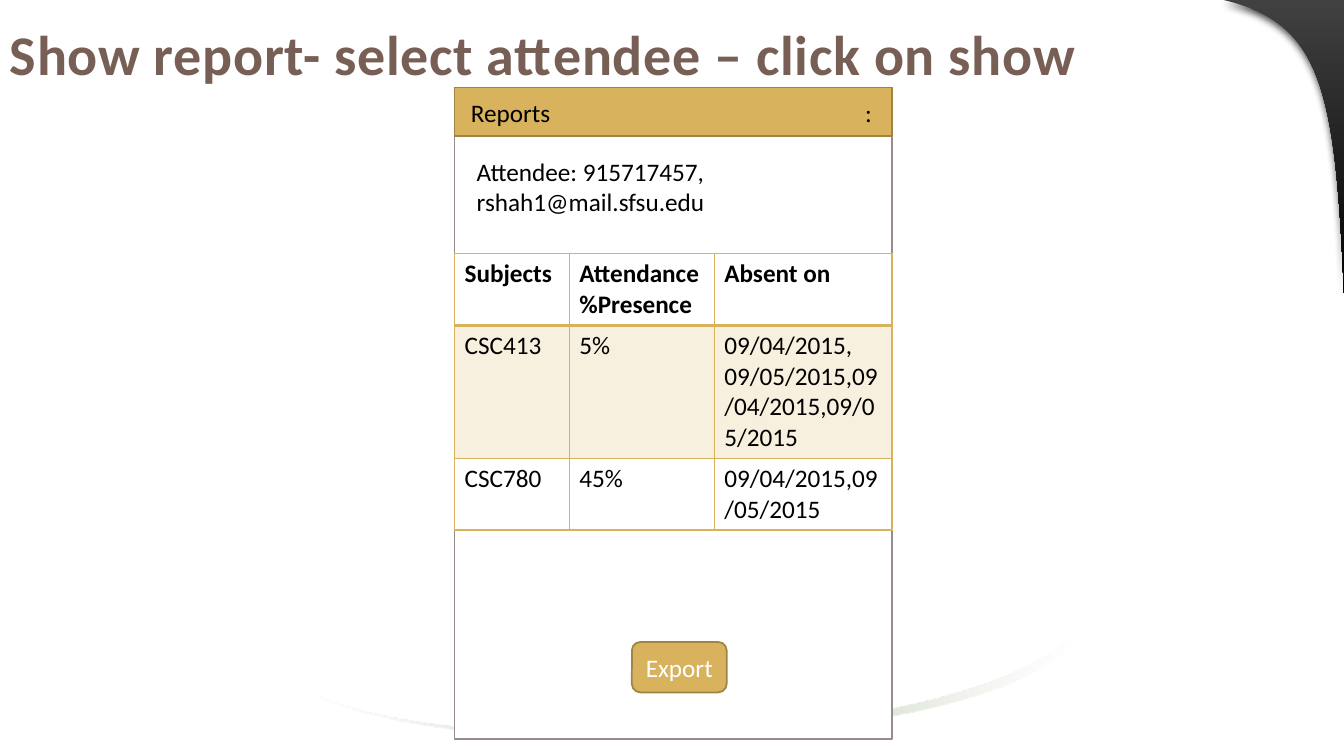
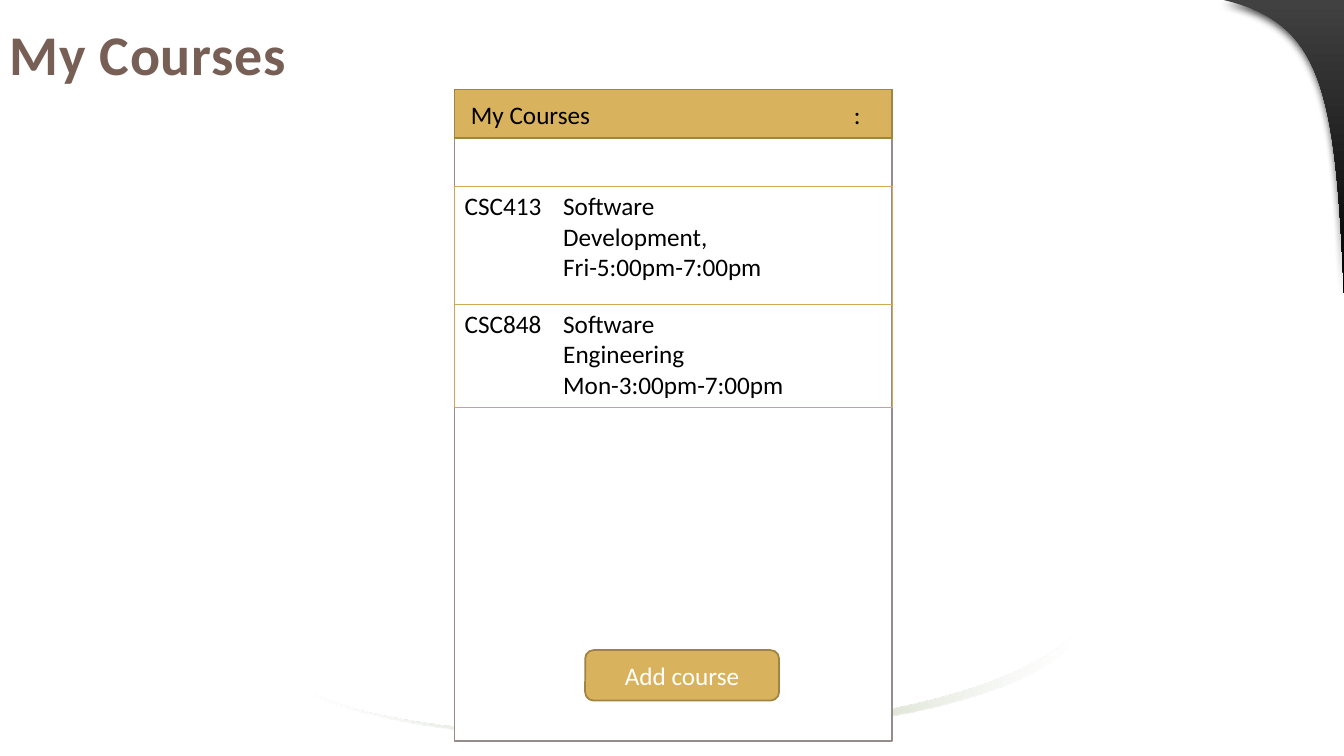
from pptx import Presentation
from pptx.dml.color import RGBColor
from pptx.enum.shapes import MSO_SHAPE as Shape
from pptx.enum.text import MSO_ANCHOR as Anchor, PP_ALIGN as Align
from pptx.oxml import parse_xml
from pptx.oxml.ns import nsdecls, qn
from pptx.util import Pt

FONT = "Calibri"
GOLD, DARK_GOLD, PALE_GOLD, TABLE_GOLD = "D8B25C", "A08444", "F7F0DE", "CEAA58"
BLACK, WHITE, GREY, BROWN, SAGE = "000000", "FFFFFF", "968C8C", "775F55", "9CB084"

PHONE_LEFT, PHONE_WIDTH, PHONE_HEIGHT, HEADER_HEIGHT = 324.7, 312.5, 465.1, 34.8
CURVE_STEPS = 32

# Each curve: start, two control points, end
SWOOSH = [
    [(764.6, 460.8), (702, 532.8), (342, 548.6), (224.6, 496.8)],
    [(224.6, 495.4), (320.4, 541.4), (676.8, 534.2), (764.6, 455.8)],
]
CORNER = [[(960, 209.5), (954, 61.2), (943.2, 16.6), (874.1, 0)]]
CORNER_TIP = (960, 0)

SCREENS = [
    {
        "title": "Show report- select attendee – click on show",
        "header": "Reports", "top": 62.6, "menu_tab": 281.5,
        "note": "Attendee: 915717457, rshah1@mail.sfsu.edu",
        "table": {
            "top": 181, "columns": [82, 103.5, 127], "rows": [51.4, 95, 51.2],
            "cells": [
                ["Subjects", "Attendance\n%Presence", "Absent on"],
                ["CSC413", "5%", "09/04/2015, 09/05/2015,09/04/2015,09/05/2015"],
                ["CSC780", "45%", "09/04/2015,09/05/2015"],
            ],
            "gridded": True,
        },
        "button": ("Export", 451.4, 458.6, 67.7),
    },
    {
        "title": "My Courses",
        "header": "My Courses", "top": 64, "menu_tab": 273.6,
        "table": {
            "top": 133, "columns": [70.4, 175.3, 66.8], "rows": [84.3, 73.6],
            "cells": [
                ["CSC413", "Software Development,\nFri-5:00pm-7:00pm", ""],
                ["CSC848", "Software\nEngineering\nMon-3:00pm-7:00pm", ""],
            ],
            "gridded": False,
        },
        "button": ("Add course", 418, 464.4, 138.5),
    },
]


def color(value):
    return RGBColor.from_string(value)


def write(frame, text, size=18, ink=BLACK, bold=False, align=Align.LEFT):
    """Fill a text frame, one paragraph for each line; return the last run."""
    frame.word_wrap = True
    for index, line in enumerate(text.split("\n")):
        paragraph = frame.add_paragraph() if index else frame.paragraphs[0]
        paragraph.alignment = align
        run = paragraph.add_run()
        run.text = line
        run.font.name, run.font.size, run.font.bold = FONT, Pt(size), bold
        run.font.color.rgb = color(ink)
    return run


def add_text(slide, text, left, top, width, height, **style):
    frame = slide.shapes.add_textbox(Pt(left), Pt(top), Pt(width), Pt(height)).text_frame
    frame.vertical_anchor = Anchor.MIDDLE
    return write(frame, text, **style)


def add_box(slide, kind, left, top, width, height, fill, line):
    shape = slide.shapes.add_shape(kind, Pt(left), Pt(top), Pt(width), Pt(height))
    shape.shadow.inherit = False
    shape.fill.solid()
    shape.fill.fore_color.rgb = color(fill)
    shape.line.color.rgb = color(line)
    shape.line.width = Pt(1.25)
    shape.text_frame.vertical_anchor = Anchor.MIDDLE
    return shape


def shadow(ink, opacity, blur, distance, angle):
    return parse_xml(
        f'<a:effectLst {nsdecls("a")}><a:outerShdw blurRad="{Pt(blur)}" dist="{Pt(distance)}" '
        f'dir="{angle * 60000}" algn="tl" rotWithShape="0"><a:srgbClr val="{ink}">'
        f'<a:alpha val="{opacity * 1000}"/></a:srgbClr></a:outerShdw></a:effectLst>')


def curve_points(start, control_a, control_b, end):
    """Sample a cubic Bezier curve."""
    for step in range(CURVE_STEPS + 1):
        t = step / CURVE_STEPS
        weights = ((1 - t) ** 3, 3 * t * (1 - t) ** 2, 3 * t * t * (1 - t), t ** 3)
        corners = (start, control_a, control_b, end)
        yield tuple(sum(w * point[axis] for w, point in zip(weights, corners))
                    for axis in (0, 1))


def add_curved_shape(slide, curves, stops, angle, extra=()):
    """Draw a closed outline; stops are (position, colour, opacity) in percent."""
    points = [point for curve in curves for point in curve_points(*curve)] + list(extra)
    points = [(Pt(x), Pt(y)) for x, y in points]
    builder = slide.shapes.build_freeform(*points[0])
    builder.add_line_segments(points[1:], close=True)
    shape = builder.convert_to_shape()
    shape.shadow.inherit = False
    shape.line.fill.background()
    shape.fill.gradient()
    shape.fill.gradient_angle = angle
    stop_list = shape._element.spPr.find(".//" + qn("a:gsLst"))
    for stop in list(stop_list):
        stop_list.remove(stop)
    for position, ink, opacity in stops:
        stop_list.append(parse_xml(
            f'<a:gs {nsdecls("a")} pos="{position * 1000}"><a:srgbClr val="{ink}">'
            f'<a:alpha val="{opacity * 1000}"/></a:srgbClr></a:gs>'))
    return shape


def add_backdrop(slide):
    add_curved_shape(slide, SWOOSH, [(0, WHITE, 30), (50, SAGE, 100), (100, WHITE, 30)], 0)
    corner = add_curved_shape(slide, CORNER, [(0, "414141", 100), (100, BLACK, 100)],
                              270, [CORNER_TIP])
    properties = corner._element.spPr
    properties.replace(properties.find(qn("a:effectLst")), shadow(BLACK, 75, 6, 3, 90))


def add_title(slide, title):
    run = add_text(slide, title, 0, 0, 815, 76.3, size=40, ink=BROWN, bold=True)
    properties = run.font._element
    properties.set("spc", "50")
    properties.find(qn("a:solidFill")).addnext(shadow(BLACK, 45, 3, 3, 45))


def add_phone(slide, top, header, menu_tab):
    add_box(slide, Shape.RECTANGLE, PHONE_LEFT, top, PHONE_WIDTH, PHONE_HEIGHT, WHITE, GREY)
    bar = add_box(slide, Shape.RECTANGLE, PHONE_LEFT, top, PHONE_WIDTH, HEADER_HEIGHT,
                  GOLD, DARK_GOLD)
    frame = bar.text_frame
    frame.margin_left = Pt(11.7)
    frame.paragraphs[0]._p.get_or_add_pPr().append(parse_xml(
        f'<a:tabLst {nsdecls("a")}><a:tab pos="{Pt(menu_tab)}" algn="l"/></a:tabLst>'))
    write(frame, f"{header}\t:")


def set_borders(cell, borders):
    """Draw the sides in borders as (colour, width); hide the others."""
    properties = cell._tc.get_or_add_tcPr()
    for index, side in enumerate("LRTB"):
        ink, width = borders.get(side, (None, 0))
        paint = f'<a:solidFill><a:srgbClr val="{ink}"/></a:solidFill>' if ink else "<a:noFill/>"
        properties.insert(index, parse_xml(
            f'<a:ln{side} {nsdecls("a")} w="{Pt(width)}">{paint}</a:ln{side}>'))


def cell_borders(row, column, last_column, gridded):
    if gridded:
        return {side: (GOLD, 2 if (row, side) in ((0, "B"), (1, "T")) else 1)
                for side in "LRTB"}
    sides = "TB" + "L" * (column == 0) + "R" * (column == last_column)
    return {side: (TABLE_GOLD, 0.75) for side in sides}


def add_table(slide, top, columns, rows, cells, gridded):
    table = slide.shapes.add_table(len(rows), len(columns), Pt(PHONE_LEFT), Pt(top),
                                   Pt(sum(columns)), Pt(sum(rows))).table
    table.first_row = table.horz_banding = False
    for column, width in zip(table.columns, columns):
        column.width = Pt(width)
    for r, (height, texts) in enumerate(zip(rows, cells)):
        table.rows[r].height = Pt(height)
        for c, text in enumerate(texts):
            cell = table.cell(r, c)
            if gridded and r == 1:
                cell.fill.solid()
                cell.fill.fore_color.rgb = color(PALE_GOLD)
            else:
                cell.fill.background()
            set_borders(cell, cell_borders(r, c, len(columns) - 1, gridded))
            if text:
                write(cell.text_frame, text, bold=gridded and r == 0)


def add_button(slide, label, left, top, width):
    button = add_box(slide, Shape.ROUNDED_RECTANGLE, left, top, width, 36, GOLD, DARK_GOLD)
    write(button.text_frame, label, ink=WHITE, align=Align.CENTER)


def main():
    presentation = Presentation()
    presentation.slide_width, presentation.slide_height = Pt(960), Pt(540)
    for screen in SCREENS:
        slide = presentation.slides.add_slide(presentation.slide_layouts[6])
        add_backdrop(slide)
        add_title(slide, screen["title"])
        add_phone(slide, screen["top"], screen["header"], screen["menu_tab"])
        add_table(slide, **screen["table"])
        add_button(slide, *screen["button"])
        if "note" in screen:
            add_text(slide, screen["note"], 333.4, 105.8, 241.2, 54.7)
    presentation.save("out.pptx")


if __name__ == "__main__":
    main()
